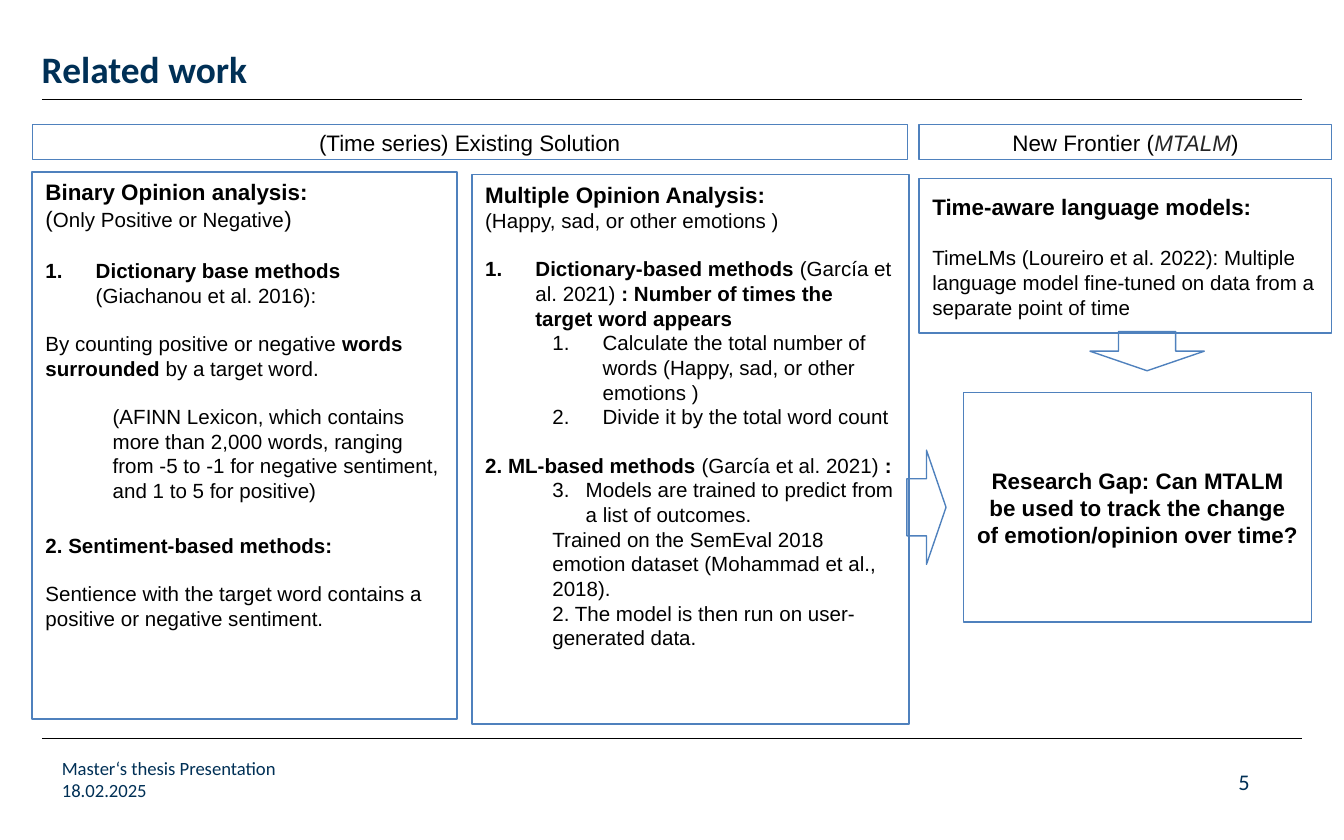
from dataclasses import dataclass
from typing import NamedTuple, Optional

from lxml.etree import SubElement
from pptx import Presentation
from pptx.dml.color import RGBColor
from pptx.enum.shapes import MSO_CONNECTOR, MSO_SHAPE
from pptx.enum.text import MSO_ANCHOR, PP_ALIGN
from pptx.oxml.ns import qn
from pptx.util import Cm, Pt

NAVY, BLACK, GREY, BLUE, WHITE = "003056", "000000", "262626", "4F81BD", "FFFFFF"
GAP = 12.7  # one empty 11 pt line


class Box(NamedTuple):
    left: float
    top: float
    width: float
    height: float


class Run(NamedTuple):
    text: str
    size: float = 11
    bold: bool = False
    italic: bool = False
    color: str = BLACK
    font: str = "Arial"


@dataclass
class Para:
    runs: list[Run]
    before: float = 0
    left: float = 0
    hanging: float = 0
    number: Optional[int] = None
    level: int = 0
    align: PP_ALIGN = PP_ALIGN.LEFT
    spacing: float = 1.0


@dataclass
class Panel:
    box: Box
    paras: list[Para]
    anchor: MSO_ANCHOR = MSO_ANCHOR.MIDDLE
    fill: Optional[str] = None


def rgb(value: str) -> RGBColor:
    return RGBColor.from_string(value)


def cm(box: Box) -> list[Cm]:
    return [Cm(v) for v in box]


def write(tf, paras: list[Para], anchor: MSO_ANCHOR) -> None:
    tf.word_wrap = True
    tf.vertical_anchor = anchor
    for i, para in enumerate(paras):
        p = tf.add_paragraph() if i else tf.paragraphs[0]
        p.alignment, p.level = para.align, para.level
        p.line_spacing = para.spacing
        p.space_before = Pt(para.before)
        pPr = p._p.get_or_add_pPr()
        pPr.set("marL", str(Cm(para.left)))
        pPr.set("indent", str(-Cm(para.hanging)))
        if para.number:
            SubElement(pPr, qn("a:buAutoNum"), type="arabicPeriod", startAt=str(para.number))
        for run in para.runs:
            r = p.add_run()
            r.text = run.text
            r.font.name, r.font.size = run.font, Pt(run.size)
            r.font.bold, r.font.italic = run.bold, run.italic
            r.font.color.rgb = rgb(run.color)


def add_outlined(s, kind: MSO_SHAPE, box: Box, fill: Optional[str] = None):
    sp = s.shapes.add_shape(kind, *cm(box))
    sp.shadow.inherit = False
    if fill:
        sp.fill.solid()
        sp.fill.fore_color.rgb = rgb(fill)
    else:
        sp.fill.background()
    sp.line.color.rgb = rgb(BLUE)
    sp.line.width = Pt(1 if fill else 0.75)
    return sp


def add_panel(s, panel: Panel) -> None:
    sp = add_outlined(s, MSO_SHAPE.RECTANGLE, panel.box, panel.fill)
    write(sp.text_frame, panel.paras, panel.anchor)


def add_label(s, box: Box, para: Para, anchor: MSO_ANCHOR = MSO_ANCHOR.TOP) -> None:
    """Add a text box without insets."""
    tf = s.shapes.add_textbox(*cm(box)).text_frame
    tf.margin_left = tf.margin_right = tf.margin_top = tf.margin_bottom = 0
    write(tf, [para], anchor)


def add_rule(s, y: float) -> None:
    line = s.shapes.add_connector(MSO_CONNECTOR.STRAIGHT, Cm(0.79), Cm(y), Cm(24.61), Cm(y))
    line.line.color.rgb = rgb(BLACK)
    line.line.width = Pt(0.5)
    SubElement(line._element.spPr, qn("a:effectLst"))


def brand(text: str, size: float, bold: bool = False) -> Run:
    return Run(text, size, bold, color=NAVY, font="Calibri")


def centred(*runs: Run) -> list[Para]:
    return [Para(list(runs), align=PP_ALIGN.CENTER)]


def heading(text: str) -> Para:
    return Para([Run(text, 12, bold=True)])


BINARY = [
    heading("Binary Opinion analysis:"),
    Para([Run("(", 12), Run("Only Positive or Negative"), Run(")", 12)]),
    Para([Run("Dictionary base methods ", bold=True), Run("(Giachanou et al. 2016):")],
         before=13.8, left=0.95, hanging=0.95, number=1),
    Para([Run("By counting positive or negative "), Run("words surrounded ", bold=True),
          Run("by a target word.")], before=GAP),
    Para([Run("(AFINN Lexicon, which contains more than 2,000 words, ranging from -5 to -1 "
              "for negative sentiment, and 1 to 5 for positive)")],
         before=GAP, left=1.27, level=1),
    Para([Run("2. Sentiment-based methods:", bold=True)], before=16.1),
    Para([Run("Sentience with the target word contains a positive or negative sentiment.")],
         before=GAP),
]
MULTIPLE = [
    heading("Multiple Opinion Analysis:"),
    Para([Run("(Happy, sad, or other emotions )")]),
    Para([Run("Dictionary-based methods", bold=True), Run(" (García et al. 2021) "),
          Run(": Number of times the target word appears", bold=True)],
         before=GAP, left=0.95, hanging=0.95, number=1),
    *[Para([Run(text)], left=2.22, hanging=0.95, number=1, level=1) for text in (
        "Calculate the total number of words (Happy, sad, or other emotions )",
        "Divide it by the total word count")],
    Para([Run("2. ML-based methods", bold=True), Run(" (García et al. 2021) "),
          Run(":", bold=True)], before=GAP),
    Para([Run("Models are trained to predict from a list of outcomes.")],
         left=1.9, hanging=0.63, number=3, level=1),
    *[Para([Run(text)], left=1.27, level=1) for text in (
        "Trained on the SemEval 2018 emotion dataset (Mohammad et al., 2018).",
        "2. The model is then run on user-generated data.")],
]
TIME_AWARE = [
    heading("Time-aware language models:"),
    Para([Run("TimeLMs (Loureiro et al. 2022): Multiple language model fine-tuned on data "
              "from a separate point of time")], before=13.8),
]
PANELS = [
    Panel(Box(0.61, 3.25, 8.03, 10.34), BINARY, MSO_ANCHOR.TOP, WHITE),
    Panel(Box(0.61, 2.36, 16.54, 0.66), centred(Run("(Time series) Existing Solution", 12))),
    Panel(Box(17.37, 2.36, 7.8, 0.66),
          centred(Run("New Frontier (", 12), Run("MTALM", 12, italic=True, color=GREY),
                  Run(")", 12))),
    Panel(Box(18.21, 7.42, 6.58, 4.34),
          centred(Run("Research Gap: Can MTALM be used to track the change of "
                      "emotion/opinion over time?", 12, bold=True))),
    Panel(Box(8.92, 3.3, 8.26, 10.39), MULTIPLE, MSO_ANCHOR.TOP),
    Panel(Box(17.37, 3.38, 7.8, 2.92), TIME_AWARE),
]


def main() -> None:
    prs = Presentation()
    prs.slide_width, prs.slide_height = Cm(25.4), Cm(15.88)
    s = prs.slides.add_slide(prs.slide_layouts[6])
    for y in (1.88, 13.97):
        add_rule(s, y)
    add_label(s, Box(19.71, 14.53, 3.91, 0.51), Para([brand("5", 12)], align=PP_ALIGN.RIGHT))
    add_label(s, Box(1.17, 14.73, 7.9, 0.51), Para([brand("18.02.2025", 10)]))
    add_label(s, Box(1.17, 14.3, 10.72, 0.51), Para([brand("Master‘s thesis Presentation", 10)]))
    add_label(s, Box(0.79, 0.46, 23.8, 1.27),
              Para([brand("Related work", 20, bold=True)], spacing=0.9), MSO_ANCHOR.BOTTOM)
    for panel in PANELS:
        add_panel(s, panel)
    for left, top, turn in ((20.6, 6.27, 0), (16.43, 9.22, 270)):
        add_outlined(s, MSO_SHAPE.DOWN_ARROW, Box(left, top, 2.16, 0.74)).rotation = turn
    prs.save("out.pptx")


if __name__ == "__main__":
    main()
